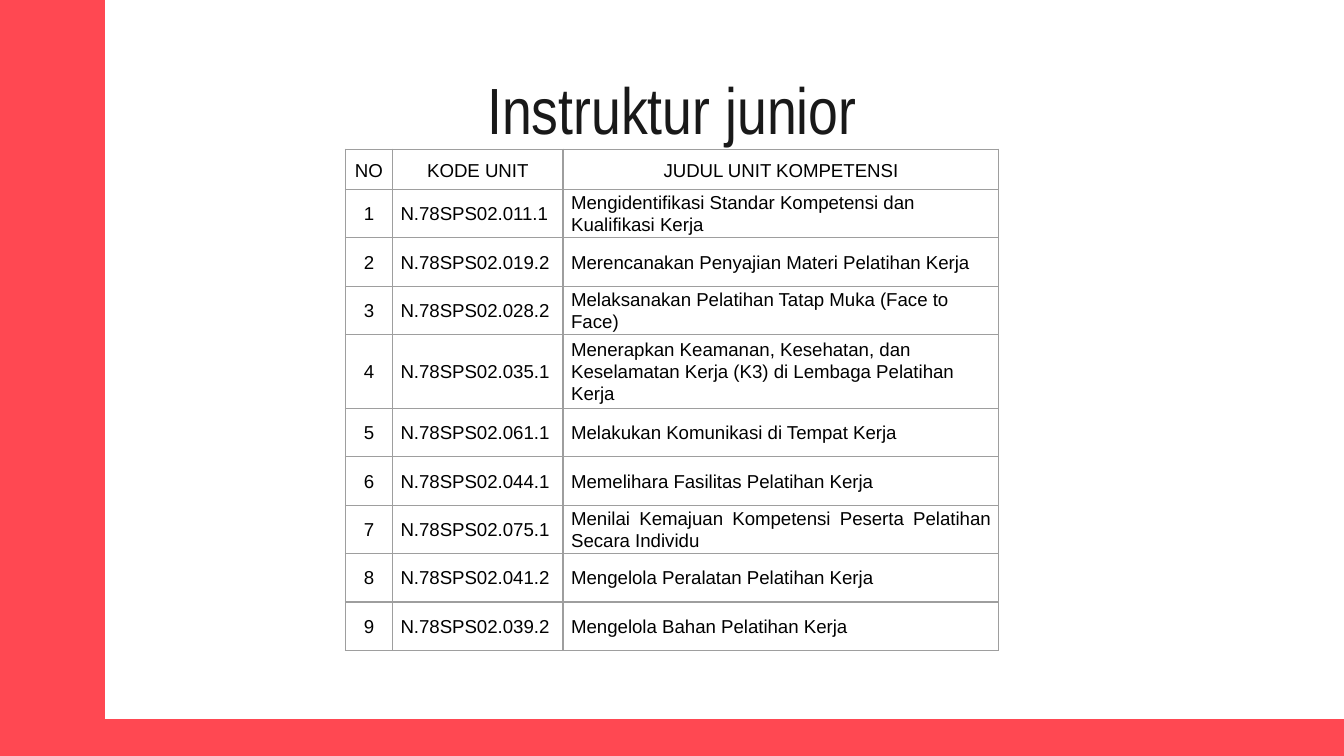
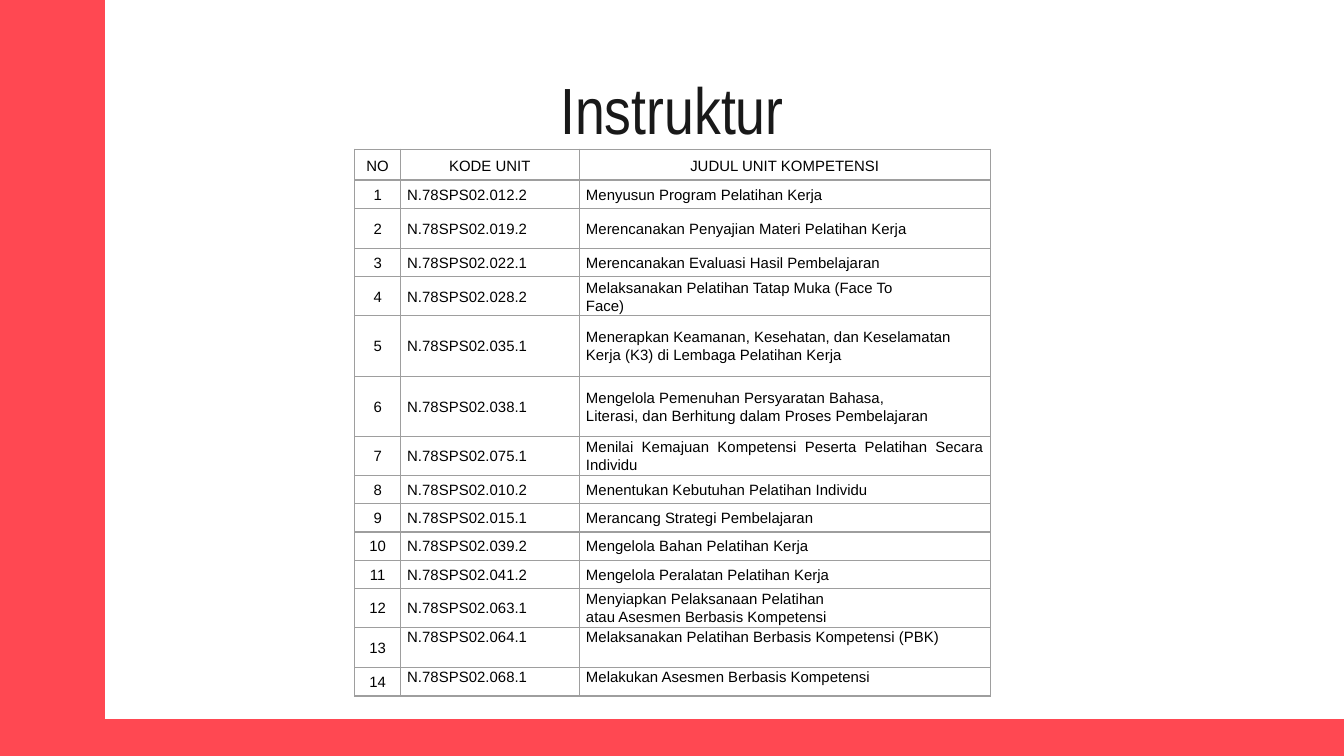
from lxml.etree import SubElement
from pptx import Presentation
from pptx.dml.color import RGBColor
from pptx.enum.shapes import MSO_SHAPE
from pptx.enum.text import MSO_ANCHOR, PP_ALIGN
from pptx.oxml.ns import qn
from pptx.util import Inches, Pt

SLIDE_WIDTH = Inches(10)
SLIDE_HEIGHT = SLIDE_WIDTH * 9 // 16
COLORS = {"band": "FF4852", "title": "191919", "text": "000000", "border": "9E9E9E"}
HEADINGS = ("NO", "KODE UNIT", "JUDUL UNIT KOMPETENSI")
CODE_PREFIX = "N.78SPS02."

# Units of each level: code ending, title, row height
JUNIOR_UNITS = [
    ("011.1", "Mengidentifikasi Standar Kompetensi dan Kualifikasi Kerja", 0.36),
    ("019.2", "Merencanakan Penyajian Materi Pelatihan Kerja", 0.36),
    ("028.2", "Melaksanakan Pelatihan Tatap Muka (Face to Face)", 0.36),
    ("035.1", "Menerapkan Keamanan, Kesehatan, dan Keselamatan Kerja (K3) "
              "di Lembaga Pelatihan Kerja", 0.55),
    ("061.1", "Melakukan Komunikasi di Tempat Kerja", 0.36),
    ("044.1", "Memelihara Fasilitas Pelatihan Kerja", 0.36),
    ("075.1", "Menilai Kemajuan Kompetensi Peserta Pelatihan Secara Individu", 0.36),
    ("041.2", "Mengelola Peralatan Pelatihan Kerja", 0.36),
    ("039.2", "Mengelola Bahan Pelatihan Kerja", 0.36),
]
INSTRUCTOR_UNITS = [
    ("012.2", "Menyusun Program Pelatihan Kerja", 0.21),
    ("019.2", "Merencanakan Penyajian Materi Pelatihan Kerja", 0.3),
    ("022.1", "Merencanakan Evaluasi Hasil Pembelajaran", 0.21),
    ("028.2", "Melaksanakan Pelatihan Tatap Muka (Face To\nFace)", 0.29),
    ("035.1", "Menerapkan Keamanan, Kesehatan, dan Keselamatan Kerja (K3) "
              "di Lembaga Pelatihan Kerja", 0.45),
    ("038.1", "Mengelola Pemenuhan Persyaratan Bahasa,\n"
              "Literasi, dan Berhitung dalam Proses Pembelajaran", 0.45),
    ("075.1", "Menilai Kemajuan Kompetensi Peserta Pelatihan Secara Individu", 0.29),
    ("010.2", "Menentukan Kebutuhan Pelatihan Individu", 0.21),
    ("015.1", "Merancang Strategi Pembelajaran", 0.21),
    ("039.2", "Mengelola Bahan Pelatihan Kerja", 0.21),
    ("041.2", "Mengelola Peralatan Pelatihan Kerja", 0.21),
    ("063.1", "Menyiapkan Pelaksanaan Pelatihan\natau Asesmen Berbasis Kompetensi", 0.29),
    ("064.1", "Melaksanakan Pelatihan Berbasis Kompetensi (PBK)", 0.3),
    ("068.1", "Melakukan Asesmen Berbasis Kompetensi", 0.21),
]


def write_text(frame, text, *, size, font="Arial", color="text",
               align=PP_ALIGN.LEFT, spacing=1.0):
    for index, line in enumerate(text.split("\n")):
        paragraph = frame.add_paragraph() if index else frame.paragraphs[0]
        paragraph.alignment = align
        paragraph.line_spacing = spacing
        run = paragraph.add_run()
        run.text = line
        run.font.size = Pt(size)
        run.font.name = font
        run.font.bold = False
        run.font.color.rgb = RGBColor.from_string(COLORS[color])


def set_borders(cell):
    properties = cell._tc.get_or_add_tcPr()
    for side in ("a:lnL", "a:lnR", "a:lnT", "a:lnB"):
        line = SubElement(properties, qn(side), w=str(Pt(0.75)))
        fill = SubElement(line, qn("a:solidFill"))
        SubElement(fill, qn("a:srgbClr"), val=COLORS["border"])


class Deck:
    def __init__(self):
        self.prs = Presentation()
        self.prs.slide_width = SLIDE_WIDTH
        self.prs.slide_height = SLIDE_HEIGHT
        self.slide = None

    def new_slide(self, title):
        self.slide = self.prs.slides.add_slide(self.prs.slide_layouts[6])
        bottom_band_top = Inches(5.35)
        self.band(0, 0, Inches(0.78), SLIDE_HEIGHT)
        self.band(0, bottom_band_top, SLIDE_WIDTH, SLIDE_HEIGHT - bottom_band_top)
        self.title(title)

    def band(self, left, top, width, height):
        band = self.slide.shapes.add_shape(
            MSO_SHAPE.RECTANGLE, left, top, width, height)
        band.shadow.inherit = False
        band.fill.solid()
        band.fill.fore_color.rgb = RGBColor.from_string(COLORS["band"])
        band.line.fill.background()

    def title(self, text):
        frame = self.slide.shapes.add_textbox(
            *map(Inches, (0.79, 0.49, 8.42, 0.63))).text_frame
        frame.word_wrap = True
        frame.vertical_anchor = MSO_ANCHOR.MIDDLE
        frame.margin_left = frame.margin_right = Inches(0.1)
        frame.margin_top = frame.margin_bottom = Inches(0.1)
        write_text(frame, text, size=35, font="Arial Narrow", color="title",
                   align=PP_ALIGN.CENTER)

    def cell(self, cell, text, margin, anchor=MSO_ANCHOR.MIDDLE, **text_format):
        cell.margin_left = cell.margin_right = Inches(margin)
        cell.margin_top = cell.margin_bottom = 0
        cell.vertical_anchor = anchor
        set_borders(cell)
        cell.fill.background()
        write_text(cell.text_frame, text, **text_format)

    def unit_table(self, units, left, columns, heading_height, size, margin,
                   justified=(), top_anchored=()):
        heights = [heading_height] + [height for _, _, height in units]
        table = self.slide.shapes.add_table(
            len(heights), len(columns), Inches(left), Inches(1.11),
            Inches(sum(columns)), Inches(sum(heights))).table
        table.first_row = table.horz_banding = False
        for column, width in zip(table.columns, columns):
            column.width = Inches(width)
        for row, height in zip(table.rows, heights):
            row.height = Inches(height)

        # Heading row
        for column, heading in enumerate(HEADINGS):
            self.cell(table.cell(0, column), heading, margin, size=size,
                      align=PP_ALIGN.CENTER, spacing=1.15)

        # Numbered units
        for number, (code, name, _) in enumerate(units, 1):
            anchor = MSO_ANCHOR.TOP if number in top_anchored else MSO_ANCHOR.MIDDLE
            name_align = PP_ALIGN.JUSTIFY if number in justified else PP_ALIGN.LEFT
            entries = (
                (str(number), PP_ALIGN.CENTER, MSO_ANCHOR.MIDDLE),
                (CODE_PREFIX + code, PP_ALIGN.LEFT, anchor),
                (name, name_align, anchor),
            )
            for column, (text, align, cell_anchor) in enumerate(entries):
                self.cell(table.cell(number, column), text, margin, cell_anchor,
                          size=size, align=align, spacing=1.07)


def main():
    deck = Deck()

    # Junior instructor
    deck.new_slide("Instruktur junior")
    deck.unit_table(JUNIOR_UNITS, 2.57, (0.35, 1.27, 3.24), 0.3, size=10,
                    margin=0.06, justified=range(6, 10))

    # Instructor
    deck.new_slide("Instruktur")
    deck.unit_table(INSTRUCTOR_UNITS, 2.64, (0.34, 1.33, 3.06), 0.23, size=8,
                    margin=0.05, justified=(7, 11), top_anchored=(13, 14))

    deck.prs.save("out.pptx")


if __name__ == "__main__":
    main()
